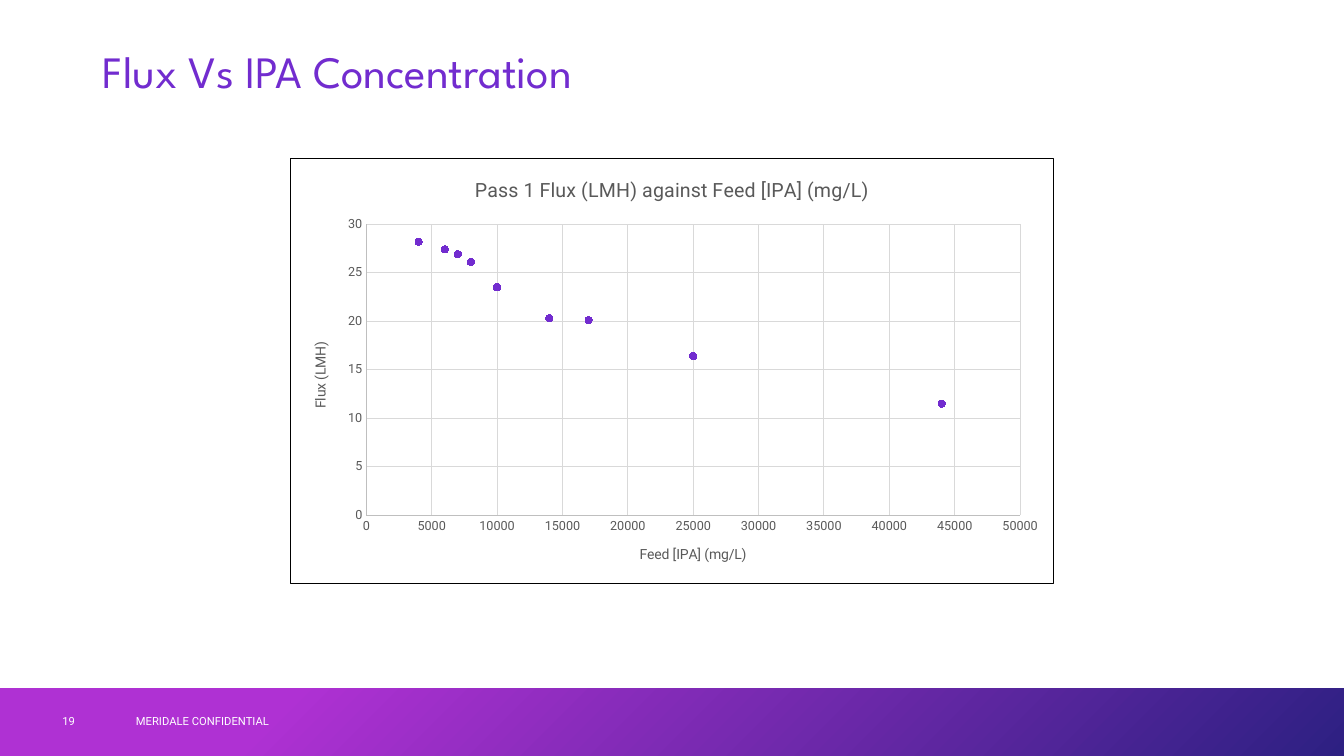
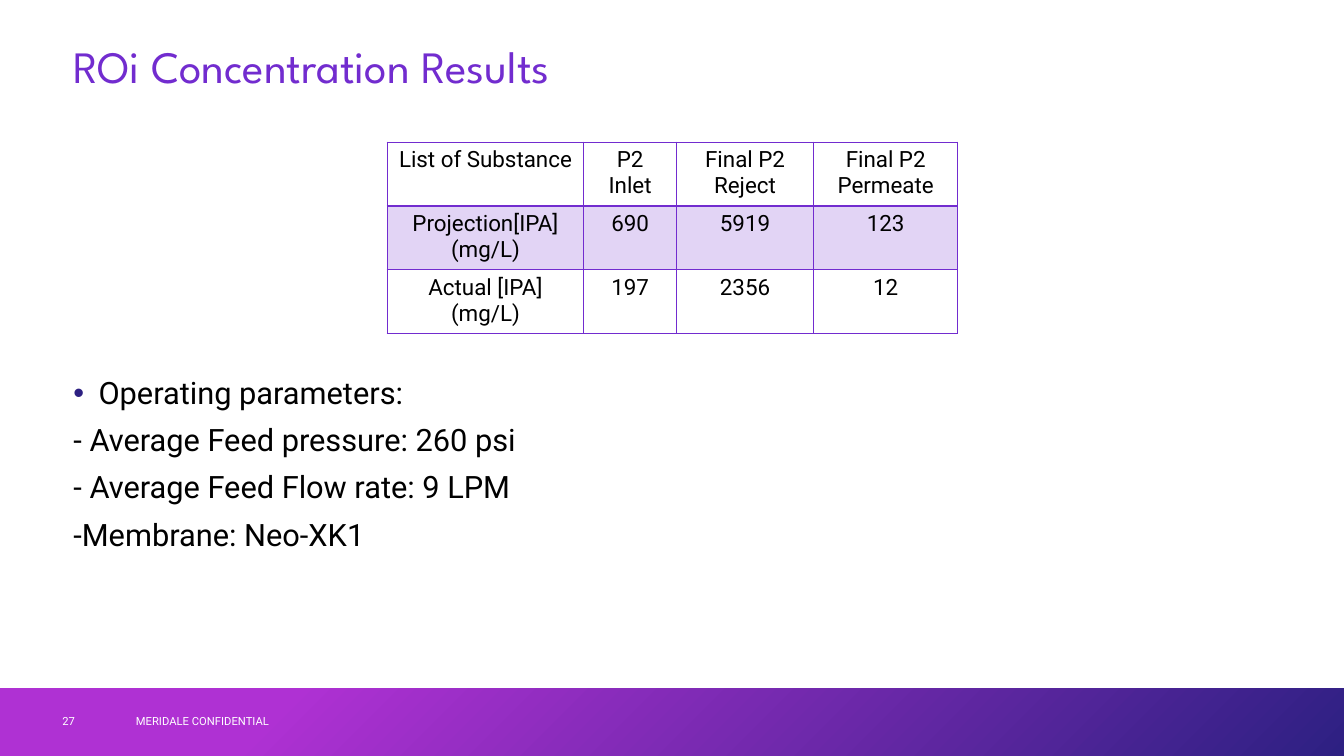
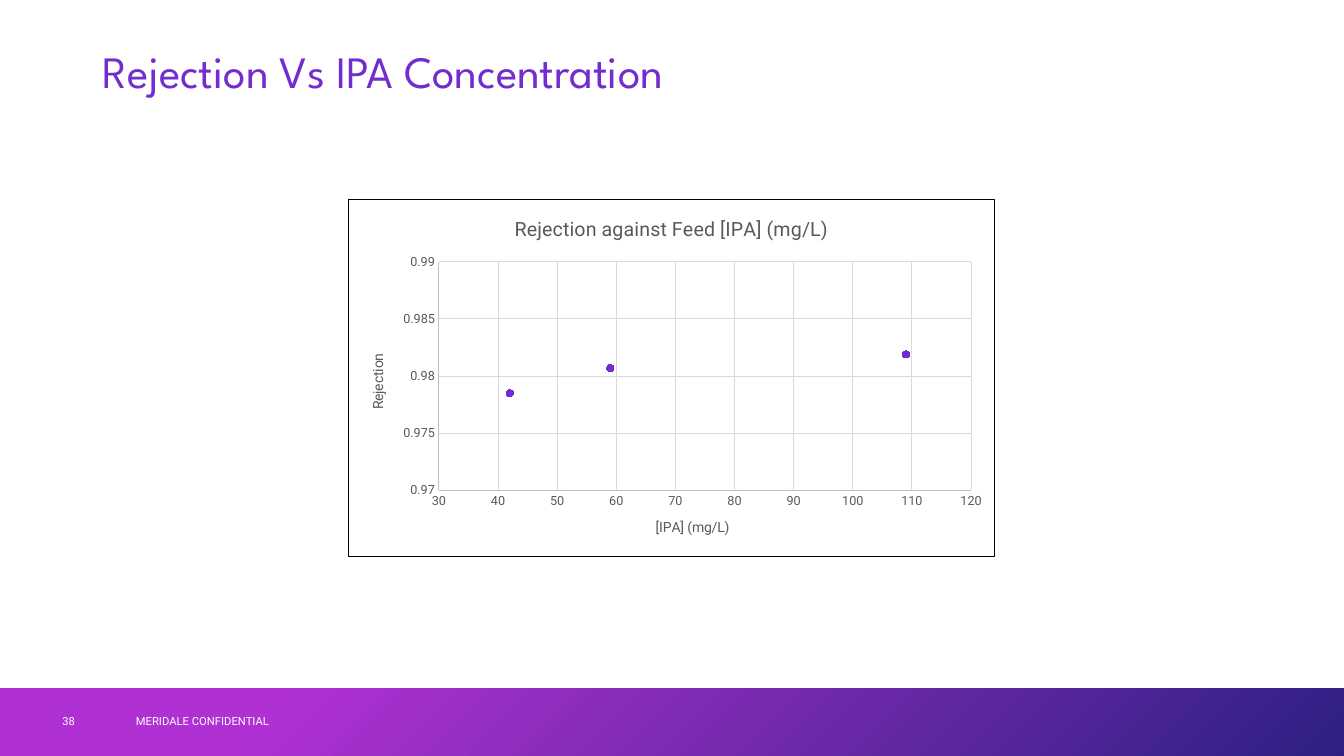
from dataclasses import dataclass

from lxml.etree import SubElement
from pptx import Presentation
from pptx.chart.data import XyChartData
from pptx.dml.color import RGBColor as Rgb
from pptx.enum.chart import XL_CHART_TYPE as ChartType, XL_MARKER_STYLE as Marker
from pptx.enum.chart import XL_TICK_MARK as Tick
from pptx.enum.text import MSO_ANCHOR as Anchor, PP_ALIGN as Align
from pptx.enum.shapes import MSO_SHAPE as Preset
from pptx.oxml import parse_xml
from pptx.oxml.ns import nsdecls, qn
from pptx.util import Pt

PX = 9144
SLIDE_W, SLIDE_H = 1333, 750
TITLE_ONLY = 5


@dataclass(frozen=True)
class Theme:
    """Colours, fonts and type sizes of the deck."""
    purple: str = "722CCF"
    magenta: str = "AF31D3"
    navy: str = "2D2082"
    white: str = "FFFFFF"
    black: str = "000000"
    label: str = "595959"
    axis: str = "BFBFBF"
    grid: str = "D9D9D9"
    heading_font: str = "League Spartan"
    body_font: str = "Roboto"
    title: int = 32
    body: int = 22
    cell: int = 16
    chart_title: int = 14
    axis_title: int = 10
    tick: int = 9
    footer: int = 8


@dataclass(frozen=True)
class Axis:
    """Title and scale of one chart axis."""
    title: str
    low: float
    high: float
    step: float


THEME = Theme()


def emu(*lengths):
    """Turn px lengths into EMU."""
    return [length * PX for length in lengths]


def style(font, size, color, name=THEME.body_font):
    """Set size, colour and typeface of a font."""
    font.size, font.name, font.bold = Pt(size), name, False
    font.color.rgb = Rgb.from_string(color)


def stroke(line, color, width=0.75):
    """Give a line a solid colour and a width in points."""
    line.color.rgb = Rgb.from_string(color)
    line.width = Pt(width)


def add_label(slide, box, text):
    """Add one footer label, centred vertically in its box."""
    frame = slide.shapes.add_textbox(*emu(*box)).text_frame
    frame.word_wrap, frame.vertical_anchor = True, Anchor.MIDDLE
    frame.text = text
    style(frame.paragraphs[0].font, THEME.footer, THEME.white)


def add_footer(slide, box, number):
    """Draw the gradient band with the page number and the notice."""
    left, top, width, height = box
    band = slide.shapes.add_shape(Preset.RECTANGLE, *emu(*box))
    band.shadow.inherit = False
    band.line.fill.background()
    band.fill.gradient()
    band.fill.gradient_angle = 315
    stops = ((0.21, THEME.magenta), (1, THEME.navy))
    for stop, (position, color) in zip(band.fill.gradient_stops, stops):
        stop.position = position
        stop.color.rgb = Rgb.from_string(color)
    add_label(slide, (left + 52, top + 12, 72, 40), str(number))
    add_label(slide, (left + 125, top + 12, 450, 40), "MERIDALE CONFIDENTIAL")


def add_title(slide, box, text):
    """Move the title placeholder into the box and format it."""
    title = slide.shapes.title
    title.left, title.top, title.width, title.height = emu(*box)
    frame = title.text_frame
    frame.text, frame.vertical_anchor = text, Anchor.MIDDLE
    heading = frame.paragraphs[0]
    heading.alignment, heading.line_spacing = Align.LEFT, 0.9
    style(heading.font, THEME.title, THEME.purple, THEME.heading_font)


def start_slide(deck, number, title, left=92, top=40):
    """Add a slide with the shared footer and title."""
    slide = deck.slides.add_slide(deck.slide_layouts[TITLE_ONLY])
    add_footer(slide, (0, 683, SLIDE_W, 67), number)
    add_title(slide, (left, top, 1150, 67), title)
    return slide


def format_axis(axis, scale):
    """Apply scale, grid, labels and title to a chart axis."""
    axis.minimum_scale, axis.maximum_scale = scale.low, scale.high
    axis.major_unit = scale.step
    axis.major_tick_mark = axis.minor_tick_mark = Tick.NONE
    axis.has_major_gridlines = True
    stroke(axis.major_gridlines.format.line, THEME.grid)
    stroke(axis.format.line, THEME.axis)
    labels = axis.tick_labels
    labels.number_format, labels.number_format_is_linked = "General", False
    style(labels.font, THEME.tick, THEME.label)
    caption = axis.axis_title.text_frame
    caption.text = scale.title
    style(caption.paragraphs[0].font, THEME.axis_title, THEME.label)


def frame_chart(chart):
    """Give the chart area a white fill and a thin black border."""
    area = parse_xml(
        f'<c:spPr {nsdecls("c", "a")}>'
        f'<a:solidFill><a:srgbClr val="{THEME.white}"/></a:solidFill>'
        f'<a:ln w="{Pt(0.75)}"><a:solidFill><a:srgbClr val="{THEME.black}"/>'
        '</a:solidFill></a:ln></c:spPr>')
    chart.element.find(qn("c:chart")).addnext(area)


def add_scatter(slide, box, title, points, x_axis, y_axis):
    """Add a bordered scatter chart of (x, y) points."""
    data = XyChartData()
    readings = data.add_series("Series 1")
    for x, y in points:
        readings.add_data_point(x, y)
    chart = slide.shapes.add_chart(ChartType.XY_SCATTER, *emu(*box), data).chart
    style(chart.font, THEME.axis_title, THEME.black)
    frame_chart(chart)
    chart.has_legend = False
    chart.has_title = True
    chart.chart_title.include_in_layout = False
    heading = chart.chart_title.text_frame
    heading.text = title
    style(heading.paragraphs[0].font, THEME.chart_title, THEME.label)
    format_axis(chart.category_axis, x_axis)
    format_axis(chart.value_axis, y_axis)
    plot = chart.plots[0]
    plot.vary_by_categories = False
    series = plot.series[0]
    series.format.line.fill.background()
    marker = series.marker
    marker.style, marker.size = Marker.CIRCLE, 5
    marker.format.fill.solid()
    marker.format.fill.fore_color.rgb = Rgb.from_string(THEME.purple)
    stroke(marker.format.line, THEME.purple)


def add_solid(parent, color, alpha=100):
    """Append a solid fill with an opacity in percent."""
    fill = SubElement(SubElement(parent, qn("a:solidFill")), qn("a:srgbClr"), val=color)
    if alpha < 100:
        SubElement(fill, qn("a:alpha"), val=str(alpha * 1000))


def format_cell(cell, text, top, bottom, tinted):
    """Fill one table cell with centred text, borders and a tint."""
    cell.text = text
    for line in cell.text_frame.paragraphs:
        line.alignment = Align.CENTER
        style(line.font, THEME.cell, THEME.black)
    props = cell._tc.get_or_add_tcPr()
    for side, width in (("L", 1), ("R", 1), ("T", top), ("B", bottom)):
        border = SubElement(props, qn(f"a:ln{side}"), w=str(Pt(width)))
        add_solid(border, THEME.purple)
    if tinted:
        add_solid(props, THEME.purple, alpha=20)
    else:
        cell.fill.background()


def add_results(slide, box, widths, rows):
    """Add the results table, with a heavy rule under its header."""
    table = slide.shapes.add_table(len(rows), len(widths), *emu(*box)).table
    table.first_row = table.horz_banding = False
    for column, width in zip(table.columns, widths):
        column.width = width * PX
    for r, texts in enumerate(rows):
        for c, text in enumerate(texts):
            format_cell(table.cell(r, c), text, top=2 if r == 1 else 1,
                        bottom=2 if r == 0 else 1, tinted=r == 1)


def add_bullet(paragraph):
    """Give a paragraph a hanging navy bullet."""
    props = paragraph._p.get_or_add_pPr()
    props.set("marL", str(25 * PX))
    props.set("indent", str(-25 * PX))
    SubElement(SubElement(props, qn("a:buClr")), qn("a:srgbClr"), val=THEME.navy)
    SubElement(props, qn("a:buFont"), typeface="Arial")
    SubElement(props, qn("a:buChar"), char="•")


def add_parameters(slide, box, lines):
    """Add the list of parameters under its bulleted lead line."""
    frame = slide.shapes.add_textbox(*emu(*box)).text_frame
    frame.word_wrap = True
    frame.text = "\n".join(lines)
    for i, line in enumerate(frame.paragraphs):
        line.line_spacing = 0.9
        if i:
            line.space_before = Pt(10)
        else:
            add_bullet(line)
        style(line.font, THEME.body, THEME.black)


def build_flux(deck):
    """Build the slide on flux against concentration."""
    slide = start_slide(deck, 19, "Flux Vs IPA Concentration")
    points = ((4000, 28.2), (6000, 27.4), (7000, 26.9), (8000, 26.1), (10000, 23.5),
              (14000, 20.3), (17000, 20.1), (25000, 16.4), (44000, 11.5))
    add_scatter(slide, (288, 157, 757, 422), "Pass 1 Flux (LMH) against Feed [IPA] (mg/L)",
                points, Axis("Feed [IPA] (mg/L)", 0, 50000, 5000),
                Axis("Flux (LMH)", 0, 30, 5))


def build_results(deck):
    """Build the slide with the results table and parameters."""
    slide = start_slide(deck, 27, "ROi Concentration Results", left=63, top=35)
    add_parameters(slide, (63, 370, 1150, 300), (
        "Operating parameters:", "- Average Feed pressure: 260 psi",
        "- Average Feed Flow rate: 9 LPM", "-Membrane: Neo-XK1"))
    add_results(slide, (384, 141, 566, 186), (195, 92, 136, 143), (
        ("List of Substance", "P2 Inlet", "Final P2 Reject", "Final P2 Permeate"),
        ("Projection[IPA]\n(mg/L)", "690", "5919", "123"),
        ("Actual [IPA]\n(mg/L)", "197", "2356", "12")))


def build_rejection(deck):
    """Build the slide on rejection against concentration."""
    slide = start_slide(deck, 38, "Rejection Vs IPA Concentration")
    add_scatter(slide, (345, 197, 642, 356), "Rejection against Feed [IPA] (mg/L)",
                ((42, 0.9785), (59, 0.9807), (109, 0.9819)),
                Axis("[IPA] (mg/L)", 30, 120, 10), Axis("Rejection", 0.97, 0.99, 0.005))


def main():
    """Build and save the deck."""
    deck = Presentation()
    deck.slide_width, deck.slide_height = emu(SLIDE_W, SLIDE_H)
    for build in (build_flux, build_results, build_rejection):
        build(deck)
    deck.save("out.pptx")


if __name__ == "__main__":
    main()
